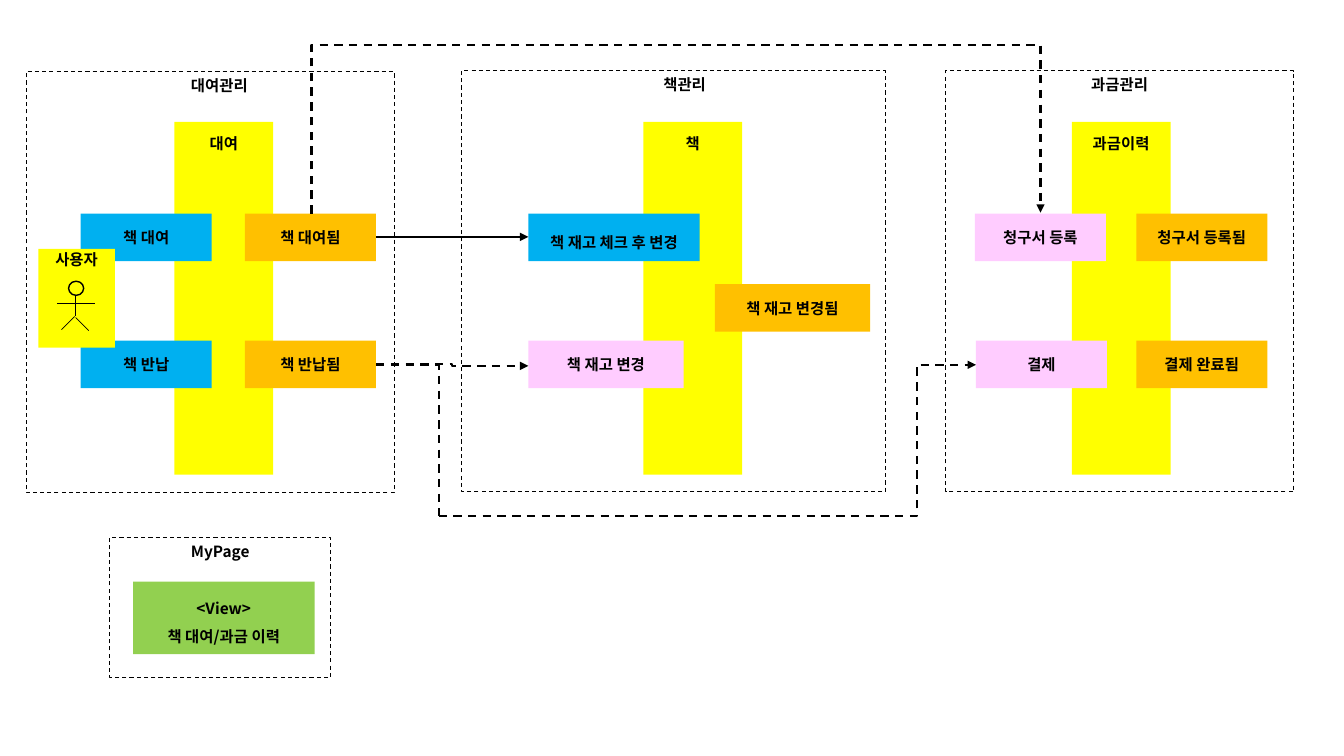
from lxml import etree
from pptx import Presentation
from pptx.dml.color import RGBColor
from pptx.enum.dml import MSO_LINE
from pptx.enum.shapes import MSO_CONNECTOR, MSO_SHAPE
from pptx.enum.text import MSO_ANCHOR, PP_ALIGN
from pptx.oxml.ns import qn
from pptx.util import Inches, Pt

RECT, OVAL = MSO_SHAPE.RECTANGLE, MSO_SHAPE.OVAL
STRAIGHT, ELBOW = MSO_CONNECTOR.STRAIGHT, MSO_CONNECTOR.ELBOW
TOP, MIDDLE = MSO_ANCHOR.TOP, MSO_ANCHOR.MIDDLE
CENTER, DASH = PP_ALIGN.CENTER, MSO_LINE.DASH

BLACK = RGBColor(0x00, 0x00, 0x00)
AGGREGATE = RGBColor(0xFF, 0xFF, 0x00)
COMMAND = RGBColor(0x00, 0xB0, 0xF0)
EVENT = RGBColor(0xFF, 0xC0, 0x00)
POLICY = RGBColor(0xFF, 0xCC, 0xFF)
VIEW = RGBColor(0x92, 0xD0, 0x50)

FONT = "Noto Sans CJK KR"
UPPER_ROW, MIDDLE_ROW, LOWER_ROW = 2.12, 2.82, 3.38
NOTE_WIDTH, NOTE_HEIGHT = 1.3, 0.47

# left, text
AGGREGATES = [(1.73, "대여"), (6.38, "책"), (10.63, "과금이력")]

# left, top, width, colour, text, line spacing
NOTES = [
    (0.8, UPPER_ROW, NOTE_WIDTH, COMMAND, "책 대여", None),
    (0.8, LOWER_ROW, NOTE_WIDTH, COMMAND, "책 반납", None),
    (2.43, UPPER_ROW, NOTE_WIDTH, EVENT, "책 대여됨", None),
    (2.43, LOWER_ROW, NOTE_WIDTH, EVENT, "책 반납됨", None),
    (5.24, UPPER_ROW, 1.7, COMMAND, "책 재고 체크 후 변경", 1.5),
    (5.24, LOWER_ROW, 1.54, POLICY, "책 재고 변경", None),
    (7.09, MIDDLE_ROW, 1.54, EVENT, "책 재고 변경됨", None),
    (9.67, UPPER_ROW, NOTE_WIDTH, POLICY, "청구서 등록", None),
    (9.68, LOWER_ROW, NOTE_WIDTH, POLICY, "결제", None),
    (11.27, UPPER_ROW, NOTE_WIDTH, EVENT, "청구서 등록됨", None),
    (11.27, LOWER_ROW, NOTE_WIDTH, EVENT, "결제 완료됨", None),
]

# left, top, width, height, title, left inset
CONTEXTS = [
    (0.26, 0.71, 3.65, 4.18, "대여관리", 0.28),
    (4.58, 0.7, 4.2, 4.18, "책관리", 0.32),
    (9.38, 0.7, 3.45, 4.18, "과금관리", 0.1),
    (1.09, 5.33, 2.19, 1.39, "MyPage", 0.1),
]

# start and end of each stroke of the user's body
BODY_STROKES = [
    ((0.57, 3.01), (0.94, 3.01)),
    ((0.75, 2.93), (0.75, 3.14)),
    ((0.74, 3.14), (0.61, 3.27)),
    ((0.75, 3.15), (0.88, 3.28)),
]


def add_block(shapes, left, top, width, height, color=None, kind=RECT):
    """Add a shape without outline or shadow; no colour means no fill."""
    block = shapes.add_shape(kind, Inches(left), Inches(top),
                             Inches(width), Inches(height))
    block.shadow.inherit = False
    block.line.fill.background()
    if color is None:
        block.fill.background()
    else:
        block.fill.solid()
        block.fill.fore_color.rgb = color
    return block


def write(block, text, anchor=MIDDLE, top=0.05, left=0.1, spacing=None):
    """Write bold centred lines into a block."""
    frame = block.text_frame
    frame.word_wrap = True
    frame.vertical_anchor = anchor
    frame.margin_top, frame.margin_left = Inches(top), Inches(left)
    frame.text = text
    for paragraph in frame.paragraphs:
        paragraph.alignment = CENTER
        if spacing:
            paragraph.line_spacing = spacing
        font = paragraph.font
        font.name, font.size, font.bold = FONT, Pt(11), True
        font.color.rgb = BLACK
        defaults = paragraph._p.pPr.find(qn("a:defRPr"))
        etree.SubElement(defaults, qn("a:ea")).set("typeface", FONT)


def outline(line, width, dashed=False):
    """Give a line its black stroke."""
    line.color.rgb = BLACK
    line.width = Pt(width)
    if dashed:
        line.dash_style = DASH


def add_context(shapes, left, top, width, height, title, inset):
    """Add a dashed bounded context with its title."""
    context = add_block(shapes, left, top, width, height)
    outline(context.line, 0.75, dashed=True)
    write(context, title, TOP, left=inset)


def add_link(shapes, start, end, kind=STRAIGHT, width=1.5, dashed=False, arrow=True):
    """Add a connector, by default with an arrowhead at its end."""
    link = shapes.add_connector(kind, *map(Inches, start + end))
    outline(link.line, width, dashed)
    properties = link._element.spPr
    if arrow:
        stroke = properties.find(qn("a:ln"))
        etree.SubElement(stroke, qn("a:tailEnd")).set("type", "triangle")
    etree.SubElement(properties, qn("a:effectLst"))
    return link


def bend(link, ratio=None, preset="bentConnector3", rotation=0):
    """Set the route of an elbow connector."""
    properties = link._element.spPr
    geometry = properties.find(qn("a:prstGeom"))
    geometry.set("prst", preset)
    if ratio is not None:
        guides = geometry.find(qn("a:avLst"))
        if guides is None:
            guides = etree.SubElement(geometry, qn("a:avLst"))
        guide = etree.SubElement(guides, qn("a:gd"))
        guide.set("name", "adj1")
        guide.set("fmla", f"val {round(ratio * 100000)}")
    if rotation:
        properties.find(qn("a:xfrm")).set("rot", str(rotation * 60000))


def add_user(shapes):
    """Add the user card with its stick figure as one group."""
    user = shapes.add_group_shape().shapes
    card = add_block(user, 0.38, 2.47, 0.76, 0.98, AGGREGATE)
    write(card, "사용자", TOP, top=0.01)
    head = add_block(user, 0.68, 2.79, 0.15, 0.14, AGGREGATE, OVAL)
    outline(head.line, 1)
    for start, end in BODY_STROKES:
        add_link(user, start, end, width=0.5, arrow=False)


def add_flows(shapes):
    """Link the events to the commands and policies they trigger."""
    returned, corner = (3.73, 3.62), (4.35, 5.12)
    add_link(shapes, (3.73, 2.35), (5.24, 2.35))
    stock = add_link(shapes, (3.73, 3.61), (5.24, 3.63), ELBOW, dashed=True)
    bend(stock, 0.5)
    payment = add_link(shapes, corner, (9.68, 3.62), ELBOW, dashed=True)
    bend(payment, 0.89)
    payment_start = add_link(shapes, returned, corner, ELBOW, dashed=True, arrow=False)
    bend(payment_start, preset="bentConnector2")
    # A quarter turn makes this link leave and arrive vertically.
    invoice = add_link(shapes, (6.71, 5.73), (6.7, -1.5), ELBOW, dashed=True)
    bend(invoice, 170, rotation=90)


def main():
    """Build the event storming slide."""
    deck = Presentation()
    deck.slide_width, deck.slide_height = Inches(13.33), Inches(7.5)
    shapes = deck.slides.add_slide(deck.slide_layouts[6]).shapes
    for left, text in AGGREGATES:
        write(add_block(shapes, left, 1.21, 0.98, 3.5, AGGREGATE), text, TOP, top=0.12)
    for left, top, width, color, text, spacing in NOTES:
        note = add_block(shapes, left, top, width, NOTE_HEIGHT, color)
        write(note, text, spacing=spacing)
    add_user(shapes)
    view = add_block(shapes, 1.32, 5.77, 1.8, 0.72, VIEW)
    write(view, "<View>\n책 대여/과금 이력", spacing=1.5)
    for context in CONTEXTS:
        add_context(shapes, *context)
    add_flows(shapes)
    deck.save("out.pptx")


main()
